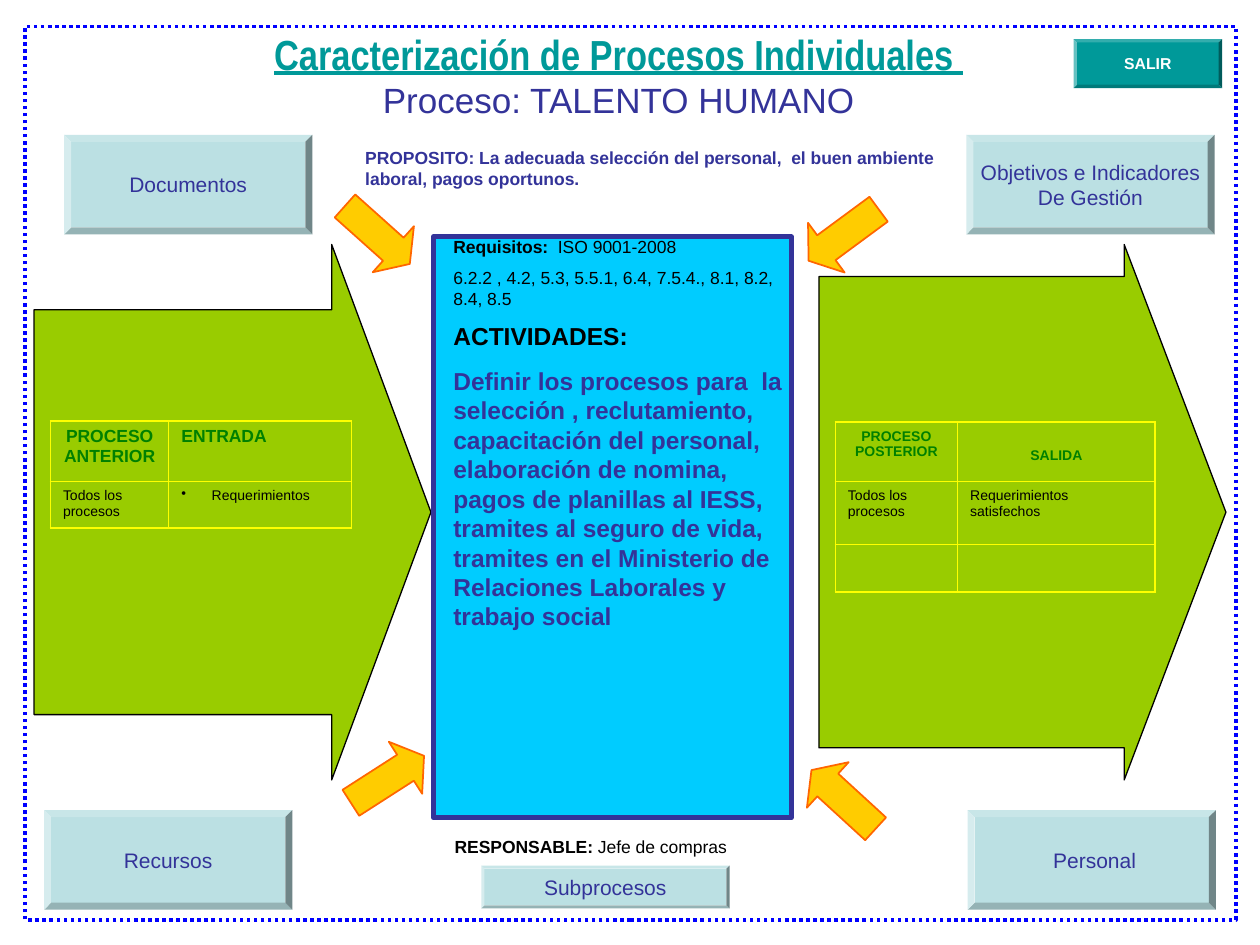
"""Builds the process characterisation slide for human talent."""
import pptx
import pptx.util
import pptx.dml.color
import pptx.enum.dml
import pptx.enum.shapes
import pptx.enum.text
from lxml import etree

Inches, Pt = pptx.util.Inches, pptx.util.Pt
RGBColor = pptx.dml.color.RGBColor
SHAPE = pptx.enum.shapes.MSO_SHAPE
ALIGN = pptx.enum.text.PP_ALIGN
ANCHOR = pptx.enum.text.MSO_ANCHOR
FIT = pptx.enum.text.MSO_AUTO_SIZE

TEAL = RGBColor(0x00, 0x99, 0x99)
INDIGO = RGBColor(0x33, 0x33, 0x99)
BLACK = RGBColor(0, 0, 0)
WHITE = RGBColor(0xFF, 0xFF, 0xFF)
GREEN = RGBColor(0x00, 0x80, 0x00)
LIME = RGBColor(0x99, 0xCC, 0x00)
CYAN = RGBColor(0x00, 0xCC, 0xFF)
PALE = RGBColor(0xBB, 0xE0, 0xE3)
AMBER = RGBColor(0xFF, 0xCC, 0x00)
ORANGE = RGBColor(0xFF, 0x66, 0x00)
BLUE = RGBColor(0, 0, 0xFF)
YELLOW = RGBColor(0xFF, 0xFF, 0)

TITLE = ("Caracterización de Procesos Individuales ", "Proceso: TALENTO HUMANO")
FLOW_ARROWS = [((6.5, 1.94, 3.23, 4.25), 0.88), ((0.27, 1.94, 3.15, 4.25), 0.756)]
SMALL_ARROWS = [(2.73, 5.94, 327.3), (2.65, 1.62, 41.8),
                (6.35, 6.1, 222.5), (6.35, 1.62, 143.6)]
BUTTONS = [
    ("Recursos", (0.35, 6.43, 1.97, 0.79), PALE, INDIGO, 12, False),
    (" Personal", (7.68, 6.43, 1.97, 0.79), PALE, INDIGO, 12, False),
    ("Documentos", (0.51, 1.07, 1.97, 0.79), PALE, INDIGO, 12, False),
    ("Objetivos e Indicadores\nDe Gestión", (7.67, 1.07, 1.97, 0.79), PALE, INDIGO, 12, False),
    ("SALIR", (8.52, 0.31, 1.18, 0.39), TEAL, WHITE, 9, True),
    ("Subprocesos", (3.82, 6.87, 1.97, 0.34), PALE, INDIGO, 12, False),
]
# Each text: box, size, space before, line spacing, paragraphs of (text, bold, colour) runs
TEXTS = [
    ((3.51, 6.62, 2.76, 0.24), 10, 5, 0.8,
     [[("RESPONSABLE: ", True, BLACK), ("Jefe de compras", False, BLACK)]]),
    ((3.5, 2.5, 2.84, 2.91), 14, 8.8, 1.0,
     [[("ACTIVIDADES:", True, BLACK)],
      [("Definir los procesos para  la selección , reclutamiento, capacitación del "
        "personal, elaboración de nomina,  pagos de planillas al IESS, tramites al "
        "seguro de vida, tramites en el Ministerio de Relaciones Laborales y trabajo "
        "social", True, INDIGO)]]),
    ((3.5, 1.82, 2.76, 0.69), 10, 6.2, 1.0,
     [[("Requisitos:  ", True, BLACK), ("ISO 9001-2008", False, BLACK)],
      [("6.2.2 , 4.2, 5.3, 5.5.1, 6.4, 7.5.4., 8.1, 8.2, 8.4, 8.5", False, BLACK)]]),
    ((2.8, 1.12, 4.72, 0.44), 10, 6.2, 1.0,
     [[("PROPOSITO: La adecuada selección del personal,  el buen ambiente laboral, "
        "pagos oportunos.", True, INDIGO)]]),
]
INPUTS = [("PROCESO ANTERIOR", "ENTRADA"), ("Todos los procesos", "Requerimientos")]
OUTPUTS = [("PROCESO POSTERIOR", "SALIDA"),
           ("Todos los procesos", "Requerimientos satisfechos"), ("", "")]


def style(r, size, color, bold=False, name="Arial"):
    r.font.size, r.font.bold, r.font.name = Pt(size), bold, name
    r.font.color.rgb = color


def add_box(s, kind, box, fill=None, line=None, width=1):
    sp = s.shapes.add_shape(kind, *map(Inches, box))
    sp.shadow.inherit = False
    if fill is None:
        sp.fill.background()
    else:
        sp.fill.solid()
        sp.fill.fore_color.rgb = fill
    if line is None:
        sp.line.fill.background()
    else:
        sp.line.color.rgb = line
        sp.line.width = Pt(width)
    return sp


def add_arrow(s, box, adjustments, fill, line, width, rotation=0):
    sp = add_box(s, SHAPE.RIGHT_ARROW, box, fill, line, width)
    sp.adjustments[0], sp.adjustments[1] = adjustments
    sp.rotation = rotation


def add_button(s, label, box, fill, color, size, bold):
    sp = add_box(s, SHAPE.BEVEL, box, fill)
    sp.adjustments[0] = 0.07
    tf = sp.text_frame
    tf.text, tf.word_wrap, tf.vertical_anchor = label, False, ANCHOR.MIDDLE
    for p in tf.paragraphs:
        p.alignment = ALIGN.CENTER
        style(p.runs[0], size, color, bold)


def add_text(s, box, size, before, spacing, paragraphs):
    tf = s.shapes.add_textbox(*map(Inches, box)).text_frame
    tf.word_wrap = True
    for i, runs in enumerate(paragraphs):
        p = tf.add_paragraph() if i else tf.paragraphs[0]
        p.space_before, p.line_spacing = Pt(before), spacing
        for text, bold, color in runs:
            r = p.add_run()
            r.text = text
            style(r, size, color, bold)


def set_borders(cell, widths):
    tcPr = cell._tc.get_or_add_tcPr()
    for i, (side, width) in enumerate(zip("LRTB", widths)):
        tcPr.insert(i, etree.fromstring(
            f'<a:ln{side} xmlns:a="http://schemas.openxmlformats.org/drawingml/2006/main" '
            f'w="{Pt(width)}"><a:solidFill><a:srgbClr val="{YELLOW}"/></a:solidFill>'
            f'</a:ln{side}>'))


def add_grid(s, left, top, cols, rows, data, head_size, fill=None):
    tb = s.shapes.add_table(len(rows), len(cols), Inches(left), Inches(top),
                            Inches(sum(cols)), Inches(sum(rows))).table
    tb.first_row = tb.horz_banding = False
    for column, width in zip(tb.columns, cols):
        column.width = Inches(width)
    for row, height in zip(tb.rows, rows):
        row.height = Inches(height)
    for i, texts in enumerate(data):
        for j, text in enumerate(texts):
            cell = tb.cell(i, j)
            if fill is None:
                cell.fill.background()
            else:
                cell.fill.solid()
                cell.fill.fore_color.rgb = fill
            edges = (j == 0, j == len(cols) - 1, i == 0, i == len(rows) - 1)
            set_borders(cell, [1.08 if edge else 0.45 for edge in edges])
            if not text:
                cell.margin_top = cell.margin_bottom = 0
                continue
            cell.text = text
            p = cell.text_frame.paragraphs[0]
            p.space_before = Pt(2)
            if i == 0:
                style(p.runs[0], head_size, GREEN, True)
                p.alignment = ALIGN.CENTER if j == 0 else ALIGN.LEFT
            else:
                style(p.runs[0], 8, BLACK)
    return tb


def add_bullet(p, indent):
    pPr = p._p.get_or_add_pPr()
    pPr.set("marL", str(Inches(indent)))
    pPr.set("indent", str(-Inches(indent)))
    bullet = etree.SubElement(pPr, pptx.oxml.ns.qn("a:buChar"))
    bullet.set("char", "•")


def add_title(s):
    sp = s.shapes.title
    sp.left, sp.top, sp.width, sp.height = map(Inches, (1.3, 0.36, 7.22, 0.65))
    tf = sp.text_frame
    tf.text = "\v".join(TITLE)
    tf.auto_size, tf.vertical_anchor = FIT.NONE, ANCHOR.BOTTOM
    p = tf.paragraphs[0]
    p.alignment = ALIGN.CENTER
    heading, process = p.runs
    style(heading, 24, TEAL, True, "Arial Narrow")
    heading.font.underline = True
    style(process, 20, INDIGO)


def main():
    prs = pptx.Presentation()
    prs.slide_width, prs.slide_height = Inches(10), Inches(7.5)
    s = prs.slides.add_slide(prs.slide_layouts[5])
    add_title(s)
    for box, shaft in FLOW_ARROWS:
        add_arrow(s, box, (shaft, 0.25), LIME, BLACK, 0.75)
    add_box(s, SHAPE.RECTANGLE, (3.44, 1.88, 2.84, 4.61), CYAN, INDIGO, 3)
    frame = add_box(s, SHAPE.RECTANGLE, (0.2, 0.21, 9.61, 7.09), None, BLUE, 2)
    frame.line.dash_style = pptx.enum.dml.MSO_LINE.ROUND_DOT
    add_grid(s, 0.4, 3.34, (0.94, 1.45), (0.48, 0.37), INPUTS, 10, LIME) \
        .cell(1, 1).text_frame.paragraphs[0]
    inputs = s.shapes[-1].table
    add_bullet(inputs.cell(1, 1).text_frame.paragraphs[0], 0.24)
    outputs = add_grid(s, 6.63, 3.35, (0.97, 1.57), (0.47, 0.5, 0.38), OUTPUTS, 8)
    outputs.cell(0, 1).margin_top = Inches(0.2)
    outputs.cell(0, 1).text_frame.paragraphs[0].alignment = ALIGN.CENTER
    for left, top, rotation in SMALL_ARROWS:
        add_arrow(s, (left, top, 0.69, 0.49), (0.5, 0.357), AMBER, ORANGE, 1, rotation)
    for text in TEXTS:
        add_text(s, *text)
    for button in BUTTONS:
        add_button(s, *button)
    prs.save("out.pptx")


if __name__ == "__main__":
    main()
